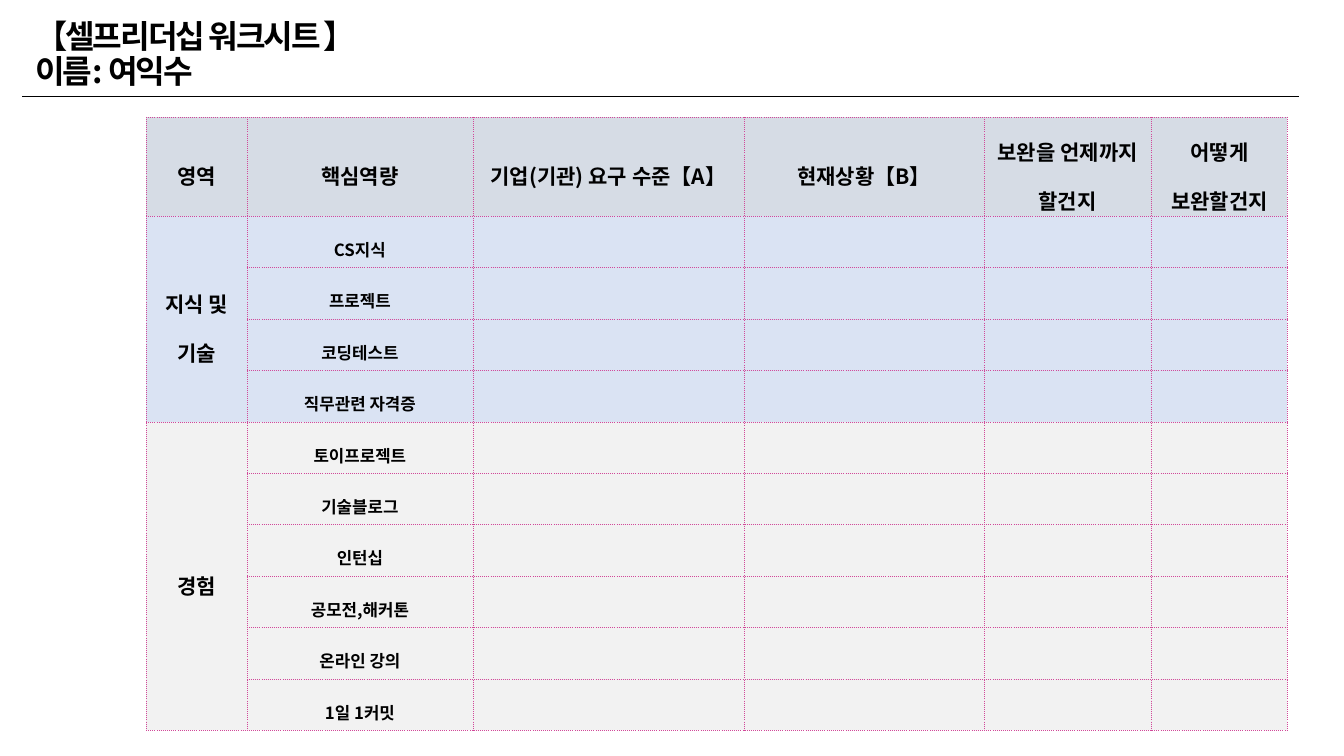
from lxml import etree
from pptx import Presentation
from pptx.dml.color import RGBColor
from pptx.enum.shapes import MSO_CONNECTOR
from pptx.enum.text import MSO_ANCHOR, MSO_AUTO_SIZE, PP_ALIGN
from pptx.oxml import parse_xml
from pptx.oxml.ns import nsdecls, qn
from pptx.util import Inches, Pt

LINE = MSO_CONNECTOR.STRAIGHT
MIDDLE = MSO_ANCHOR.MIDDLE
CENTER = PP_ALIGN.CENTER
LEFT = PP_ALIGN.LEFT
NO_FIT = MSO_AUTO_SIZE.NONE
FONT = "Noto Sans CJK KR"
BLACK, BORDER, HEAD_FILL = "000000", "D14899", "D6DCE5"
TITLE = "【셀프리더십 워크시트 】\v이름: 여익수"
HEADERS = ["영역", "핵심역량", "기업(기관) 요구 수준【A】", "현재상황【B】",
           "보완을 언제까지 할건지", "어떻게 보완할건지"]
AREAS = [
    ("지식 및\n기술", "DAE3F3",
     ["CS지식", "프로젝트", "코딩테스트", "직무관련 자격증"]),
    ("경험", "F2F2F2",
     ["토이프로젝트", "기술블로그", "인턴십", "공모전,해커톤", "온라인 강의", "1일 1커밋"]),
]
COL_WIDTHS = [1, 2.24, 2.69, 2.38, 1.66, 1.35]
HEAD_HEIGHT, ROW_HEIGHT = 0.76, 0.51


def rgb(color):
    """Turn a hex string into a colour."""
    return RGBColor.from_string(color)


def set_attrs(obj, values):
    """Set each attribute of obj from a dict."""
    for name, value in values.items():
        setattr(obj, name, value)


def format_text(tf, size, spacing, align, tracking=0):
    """Format every paragraph and run of a text frame."""
    for p in tf.paragraphs:
        set_attrs(p, {"line_spacing": spacing, "alignment": align,
                      "space_before": Pt(0)})
        for r in p.runs:
            set_attrs(r.font, {"name": FONT, "size": Pt(size), "bold": True})
            r.font.color.rgb = rgb(BLACK)
            rPr = r.font._element
            etree.SubElement(rPr, qn("a:ea"), typeface=FONT)
            if tracking:
                rPr.set("spc", str(int(tracking * 100)))


def add_title(slide):
    """Place and format the title placeholder."""
    sp = slide.shapes.title
    set_attrs(sp, {"left": Inches(0.28), "top": Inches(0.15),
                   "width": Inches(11.74), "height": Inches(0.8)})
    tf = sp.text_frame
    tf.text = TITLE
    set_attrs(tf, {"word_wrap": True, "auto_size": NO_FIT, "vertical_anchor": MIDDLE,
                   "margin_left": Inches(0.07), "margin_right": Inches(0.07),
                   "margin_top": Inches(0.04), "margin_bottom": Inches(0.04)})
    format_text(tf, 23, 0.9, LEFT, -1.5)


def add_rule(slide):
    """Draw the thin line under the title."""
    y = Inches(0.96)
    line = slide.shapes.add_connector(LINE, Inches(0.22), y, Inches(12.88), y)
    line.line.color.rgb = rgb(BLACK)
    line.line.width = Pt(0.5)
    etree.SubElement(line._element.spPr, qn("a:effectLst"))


def add_borders(cell):
    """Give a cell dotted borders on all sides."""
    tcPr = cell._tc.get_or_add_tcPr()
    for i, side in enumerate("LRTB"):
        tcPr.insert(i, parse_xml(
            f'<a:ln{side} {nsdecls("a")} w="{Pt(0.25)}"><a:solidFill>'
            f'<a:srgbClr val="{BORDER}"/></a:solidFill>'
            f'<a:prstDash val="sysDot"/></a:ln{side}>'))


def fill_cell(cell, text, fill, size):
    """Write and style one table cell."""
    cell.text = text
    set_attrs(cell, {"vertical_anchor": MIDDLE,
                     "margin_left": Inches(0.04), "margin_right": Inches(0.04),
                     "margin_top": Inches(0.01), "margin_bottom": Inches(0.01)})
    cell.fill.solid()
    cell.fill.fore_color.rgb = rgb(fill)
    format_text(cell.text_frame, size, 1.6, CENTER)
    add_borders(cell)


def add_worksheet(slide):
    """Build the competency table."""
    n_rows = 1 + sum(len(skills) for _, _, skills in AREAS)
    height = HEAD_HEIGHT + ROW_HEIGHT * (n_rows - 1)
    table = slide.shapes.add_table(
        n_rows, len(HEADERS), Inches(1.45), Inches(1.16),
        Inches(sum(COL_WIDTHS)), Inches(height)).table
    set_attrs(table, {"first_row": False, "horz_banding": False})
    for col, width in zip(table.columns, COL_WIDTHS):
        col.width = Inches(width)
    for i, row in enumerate(table.rows):
        row.height = Inches(ROW_HEIGHT if i else HEAD_HEIGHT)
    for col, text in enumerate(HEADERS):
        fill_cell(table.cell(0, col), text, HEAD_FILL, 15)
    top = 1
    for area, fill, skills in AREAS:
        for i, skill in enumerate(skills):
            texts = ["" if i else area, skill] + [""] * (len(HEADERS) - 2)
            for col, text in enumerate(texts):
                fill_cell(table.cell(top + i, col), text, fill, 12 if col else 15)
        table.cell(top, 0).merge(table.cell(top + len(skills) - 1, 0))
        top += len(skills)


def main():
    """Build the worksheet slide and save it."""
    prs = Presentation()
    set_attrs(prs, {"slide_width": Inches(13.33), "slide_height": Inches(7.5)})
    slide = prs.slides.add_slide(prs.slide_layouts[5])
    add_rule(slide)
    add_title(slide)
    add_worksheet(slide)
    prs.save("out.pptx")


main()
